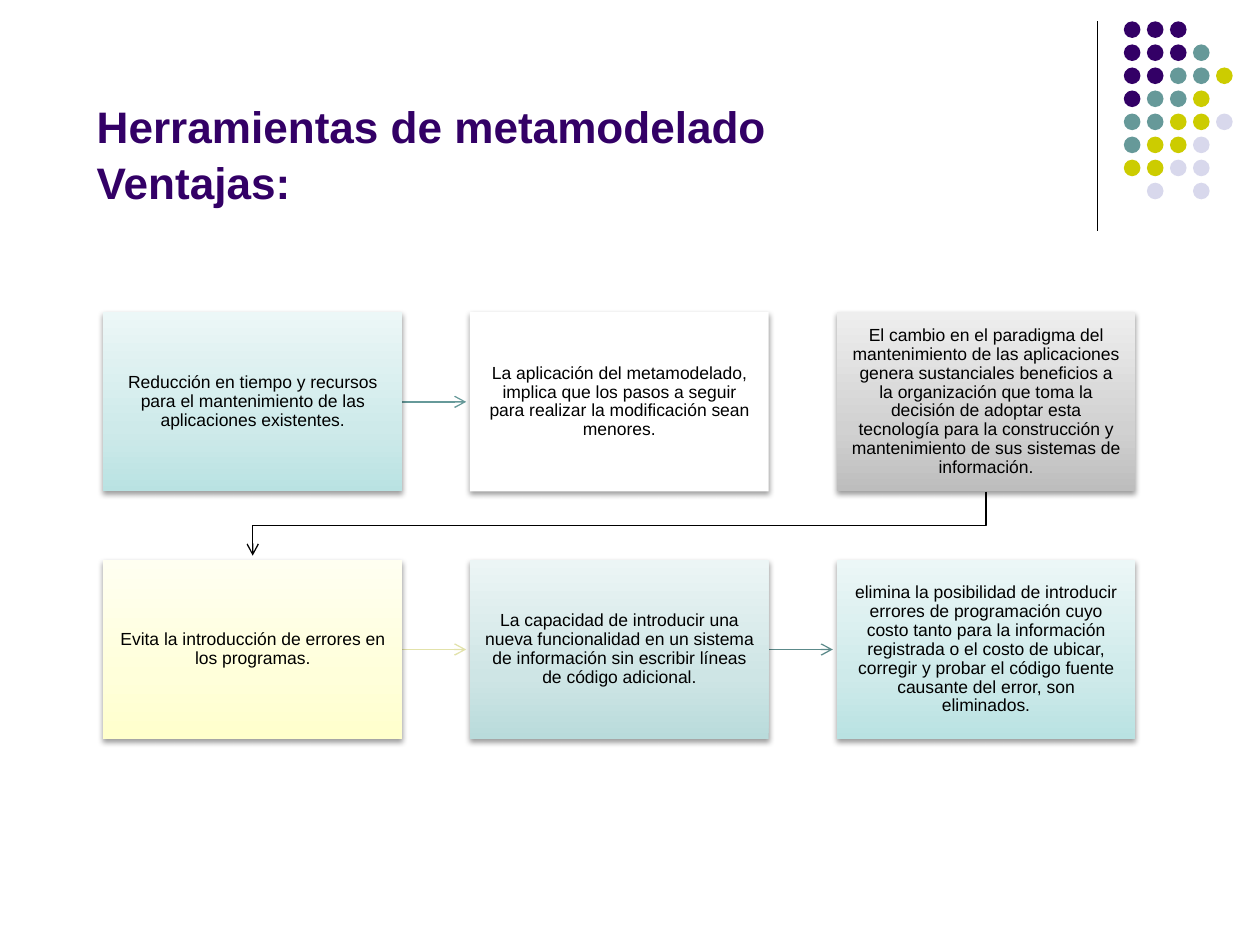
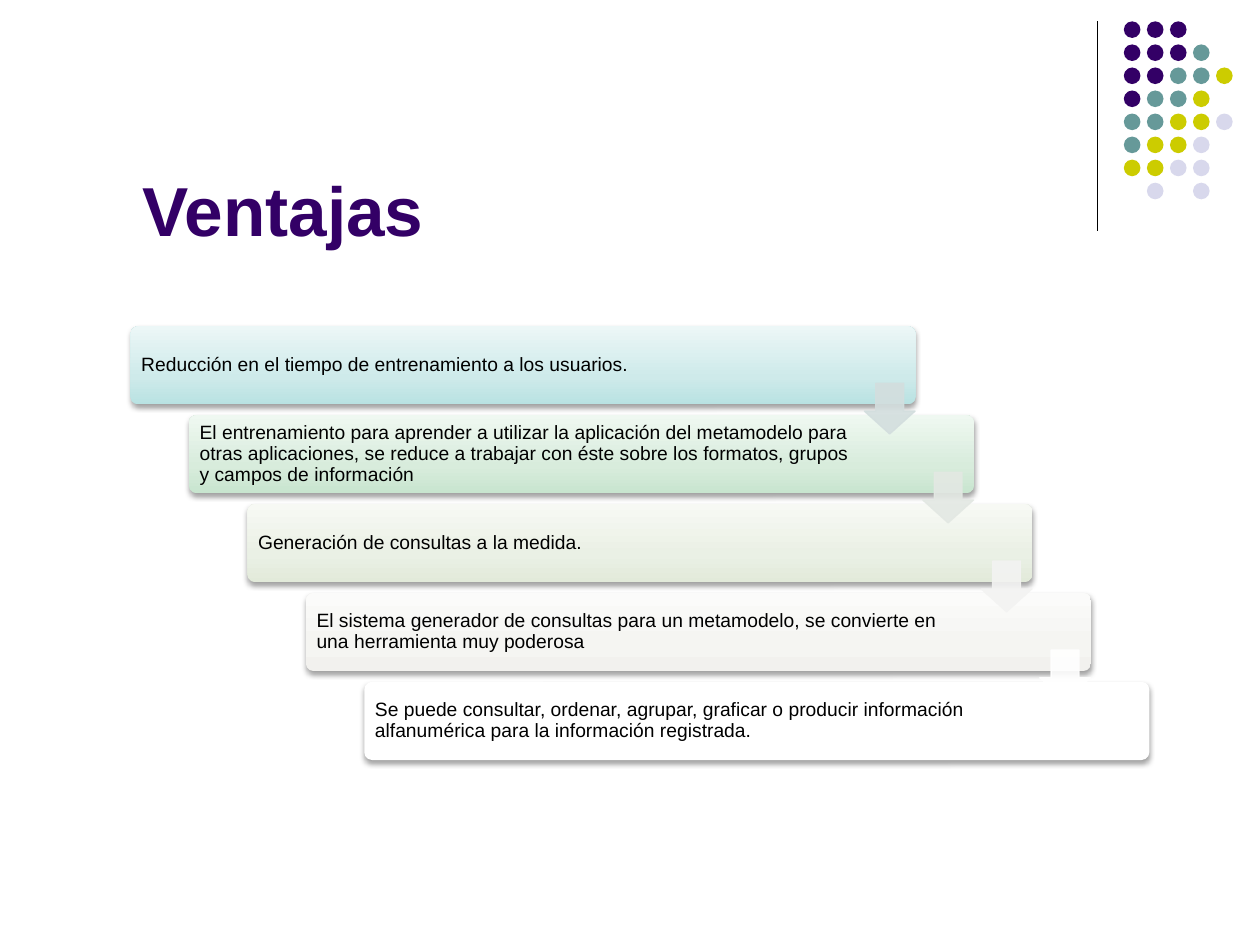
from copy import deepcopy

from lxml.etree import SubElement
from pptx import Presentation
from pptx.dml.color import RGBColor
from pptx.enum.shapes import MSO_CONNECTOR, MSO_SHAPE
from pptx.enum.text import MSO_ANCHOR, PP_ALIGN
from pptx.oxml.ns import qn
from pptx.util import Pt

RECTANGLE, ROUNDED = MSO_SHAPE.RECTANGLE, MSO_SHAPE.ROUNDED_RECTANGLE
OVAL, DOWN_ARROW = MSO_SHAPE.OVAL, MSO_SHAPE.DOWN_ARROW
STRAIGHT = MSO_CONNECTOR.STRAIGHT
MIDDLE, BOTTOM = MSO_ANCHOR.MIDDLE, MSO_ANCHOR.BOTTOM
LEFT, CENTER = PP_ALIGN.LEFT, PP_ALIGN.CENTER

COLOURS = {
    "purple": "330066", "teal": "669999", "olive": "CCCC00",
    "lavender": "D8D8EC", "black": "000000", "white": "FFFFFF",
    "cream": "E2E2AA", "dark teal": "5C8A8A",
    "mist": "D3DEDE", "sage mist": "E3E8E3", "grey mist": "F3F3F2",
}
# Gradient stops run from the bottom of a box to its top
GRADIENTS = {
    "aqua": ("B9E2E2", "CEEAEA", "ECF7F7"),
    "grey": ("BDBDBD", "D1D1D1", "EEEEEE"),
    "yellow": ("FFFFCC", "FFFFDA", "FFFFF1"),
    "blue green": ("B9DBDB", "CEE5E5", "ECF5F5"),
    "green": ("C8E5CF", "D8ECDC", "EFF8F1"),
    "sage": ("E2EADA", "EAF0E5", "F7F9F4"),
    "stone": ("F2F1EE", "F5F5F2", "FBFBFA"),
}
STOP_POSITIONS = (0, 0.35, 1)
DOT_ROWS = ("PPP", "PPPT", "PPTTO", "PTTO", "TTOOL", "TOOL", "OOLL", " L L")
DOT_COLOURS = {"P": "purple", "T": "teal", "O": "olive", "L": "lavender"}


def apply(target, values):
    for name, value in values.items():
        setattr(target, name, value)


def rgb(name):
    return RGBColor.from_string(COLOURS[name])


class SlideBuilder:
    font = "Arial"
    line_width = Pt(0.75)

    def __init__(self, deck):
        self.deck = deck
        self.page = None

    def new_page(self):
        """Start a slide with the shared rule and dot pattern."""
        self.page = self.deck.slides.add_slide(self.deck.slide_layouts[6])
        self.line([(627.1, 12.2), (627.1, 131.8)], "black")
        pitch, size = 13.17, 9.5
        for row, letters in enumerate(DOT_ROWS):
            for column, letter in enumerate(letters):
                if letter in DOT_COLOURS:
                    place = (642.2 + column * pitch, 12.2 + row * pitch, size, size)
                    self.shape(OVAL, place, DOT_COLOURS[letter])

    def shape(self, kind, place, fill, adjustments=()):
        shape = self.page.shapes.add_shape(kind, *map(Pt, place))
        for index, value in enumerate(adjustments):
            shape.adjustments[index] = value
        shape.shadow.inherit = False
        shape.line.fill.background()
        if fill in GRADIENTS:
            self.gradient(shape, GRADIENTS[fill])
        else:
            shape.fill.solid()
            shape.fill.fore_color.rgb = rgb(fill)
        return shape

    def gradient(self, shape, shades):
        shape.fill.gradient()
        shape.fill.gradient_angle = 90
        stops = shape.element.spPr.find(qn("a:gradFill")).find(qn("a:gsLst"))
        stops.append(deepcopy(stops[-1]))
        for stop, position, shade in zip(
                shape.fill.gradient_stops, STOP_POSITIONS, shades):
            stop.position = position
            stop.color.rgb = RGBColor.from_string(shade)

    def shadow(self, shape):
        effects = shape.element.spPr.find(qn("a:effectLst"))
        outer = SubElement(effects, qn("a:outerShdw"), blurRad=str(Pt(3.1)),
                           dist=str(Pt(1.6)), dir="5400000", rotWithShape="0")
        colour = SubElement(outer, qn("a:srgbClr"), val=COLOURS["black"])
        SubElement(colour, qn("a:alpha"), val="38000")

    def fill_text(self, shape, text, frame_format, para_format, font_format):
        """Put one formatted paragraph in a shape."""
        frame = shape.text_frame
        apply(frame, {"word_wrap": True, **frame_format})
        para = frame.paragraphs[0]
        para.text = text
        apply(para, para_format)
        for span in para.runs:
            apply(span.font, {"name": self.font, **font_format})
            span.font.color.rgb = rgb("purple" if span.font.bold else "black")

    def title(self, text, place, size, bottom):
        box = self.page.shapes.add_textbox(*map(Pt, place))
        self.fill_text(box, text,
                       {"vertical_anchor": BOTTOM, "margin_bottom": Pt(bottom)},
                       {"line_spacing": 1.05},
                       {"size": Pt(size), "bold": True})

    def card(self, kind, place, fill, text, size, align, insets, adjustments=()):
        """Draw a shadowed box with its text; insets are l, t, r, b."""
        box = self.shape(kind, place, fill, adjustments)
        self.shadow(box)
        sides = ("margin_left", "margin_top", "margin_right", "margin_bottom")
        margins = dict(zip(sides, map(Pt, insets)))
        self.fill_text(box, text, {"vertical_anchor": MIDDLE, **margins},
                       {"alignment": align, "line_spacing": 0.9},
                       {"size": Pt(size)})

    def line(self, points, colour, arrow=False):
        """Draw a connector, or an open outline when the line bends."""
        points = [(Pt(x), Pt(y)) for x, y in points]
        if len(points) == 2:
            line = self.page.shapes.add_connector(STRAIGHT, *points[0], *points[1])
        else:
            outline = self.page.shapes.build_freeform(*points[0])
            outline.add_line_segments(points[1:], close=False)
            line = outline.convert_to_shape()
            line.fill.background()
        line.line.color.rgb = rgb(colour)
        line.line.width = self.line_width
        properties = line.element.spPr
        if arrow:
            SubElement(properties.find(qn("a:ln")), qn("a:tailEnd"), type="arrow")
        SubElement(properties, qn("a:effectLst"))

    def step_arrow(self, place, colour):
        """Draw a slightly transparent arrow pointing down."""
        arrow = self.shape(DOWN_ARROW, place, colour, (0.55, 0.45))
        arrow.line.color.rgb = rgb(colour)
        arrow.line.width = self.line_width
        for shade in arrow.element.spPr.iter(qn("a:srgbClr")):
            SubElement(shade, qn("a:alpha"), val="90000")


# Each advantage: fill, colour of the arrow that leaves it, text
FLOW = [
    ("aqua", "teal", "Reducción en tiempo y recursos para el mantenimiento de "
     "las aplicaciones existentes."),
    ("white", "white", "La aplicación del metamodelado, implica que los pasos a "
     "seguir para realizar la modificación sean menores."),
    ("grey", "black", "El cambio en el paradigma del mantenimiento de las "
     "aplicaciones genera sustanciales beneficios a la organización que toma la "
     "decisión de adoptar esta tecnología para la construcción y mantenimiento "
     "de sus sistemas de información."),
    ("yellow", "cream", "Evita la introducción de errores en los programas."),
    ("blue green", "dark teal", "La capacidad de introducir una nueva "
     "funcionalidad en un sistema de información sin escribir líneas de código "
     "adicional."),
    ("aqua", None, "elimina la posibilidad de introducir errores de programación "
     "cuyo costo tanto para la información registrada o el costo de ubicar, "
     "corregir y probar el código fuente causante del error, son eliminados."),
]
STAIRS = [
    ("aqua", "mist", "Reducción en el tiempo de entrenamiento a los usuarios."),
    ("green", "sage mist", "El entrenamiento para aprender a utilizar la "
     "aplicación del metamodelo para otras aplicaciones, se reduce a trabajar "
     "con éste sobre los formatos, grupos y campos de información"),
    ("sage", "grey mist", "Generación de consultas a la medida."),
    ("stone", "white", "El sistema generador de consultas para un metamodelo, se "
     "convierte en una herramienta muy poderosa"),
    ("white", None, "Se puede consultar, ordenar, agrupar, graficar o producir "
     "información alfanumérica para la información registrada."),
]


def build_flow(builder):
    builder.new_page()
    builder.title("Herramientas de metamodelado\vVentajas:",
                  (48.2, 33.8, 572.4, 100.8), 25.2, 15.6)
    columns, width, height = 3, 170.8, 102.5
    first_left, first_top, across, down = 59, 178.4, 209.5, 141.5
    reach = 36.6
    for index, (fill, arrow_colour, text) in enumerate(FLOW):
        row, column = divmod(index, columns)
        left, top = first_left + column * across, first_top + row * down
        right, bottom = left + width, top + height
        if column < columns - 1:
            middle = top + height / 2
            points = [(right, middle), (right + reach, middle)]
        else:
            start, end = left + width / 2, first_left + width / 2
            turn = (bottom + top + down) / 2
            points = [(start, bottom), (start, turn), (end, turn),
                      (end, bottom + reach)]
        if arrow_colour:
            builder.line(points, arrow_colour, arrow=True)
        builder.card(RECTANGLE, (left, top, width, height), fill, text,
                     10, CENTER, [8.5] * 4)


def build_stairs(builder):
    builder.new_page()
    builder.title("Ventajas", (74.2, 89.3, 582.5, 78.5), 39.6, 25)
    across, down = 33.4, 50.8
    for step, (fill, _, text) in enumerate(STAIRS):
        place = (74.6 + step * across, 186.4 + step * down, 448.6, 44.7)
        builder.card(ROUNDED, place, fill, text, 11, LEFT,
                     (4.8, 4.8, 67.5, 4.8), (0.1,))
    # The arrows lie above all the steps
    for step, (_, colour, _) in enumerate(STAIRS[:-1]):
        builder.step_arrow((493.9 + step * across, 219 + step * down, 29, 29),
                           colour)


def main():
    deck = Presentation()
    deck.slide_width, deck.slide_height = Pt(720), Pt(540)
    builder = SlideBuilder(deck)
    build_flow(builder)
    build_stairs(builder)
    deck.save("out.pptx")


if __name__ == "__main__":
    main()
